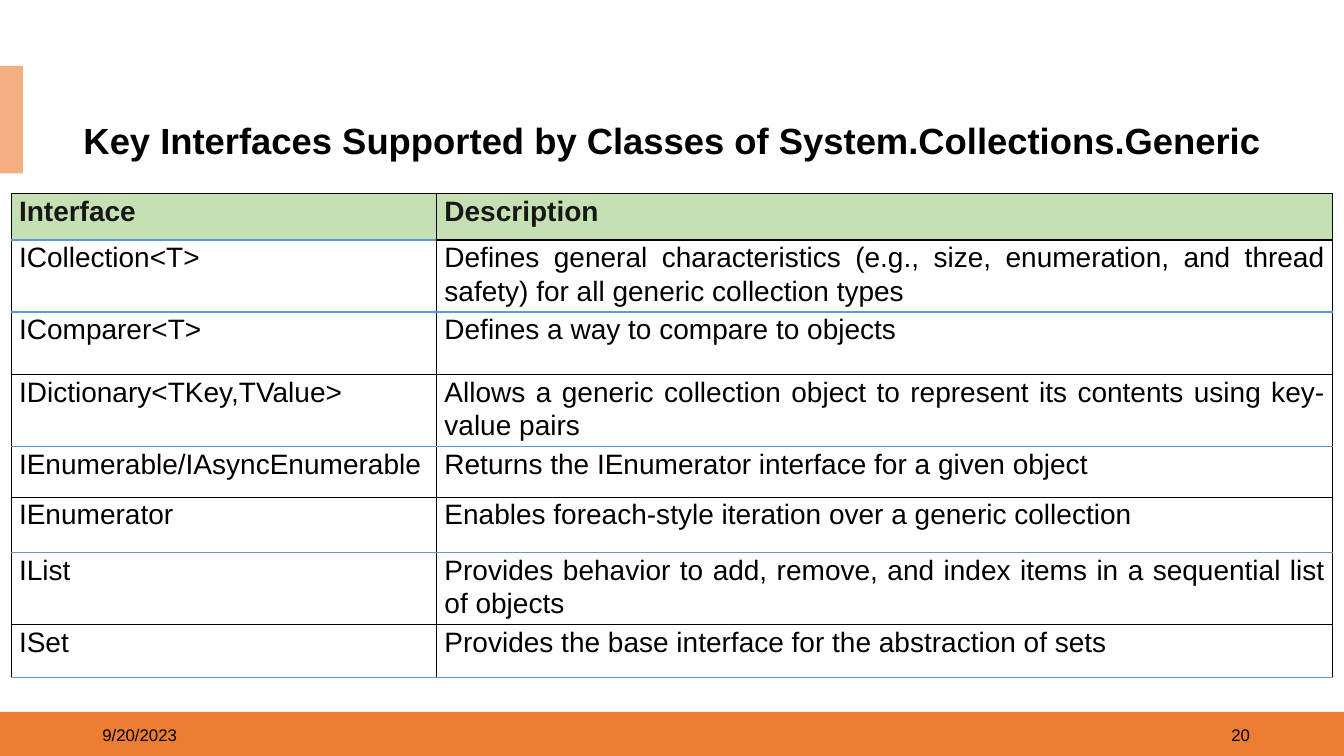
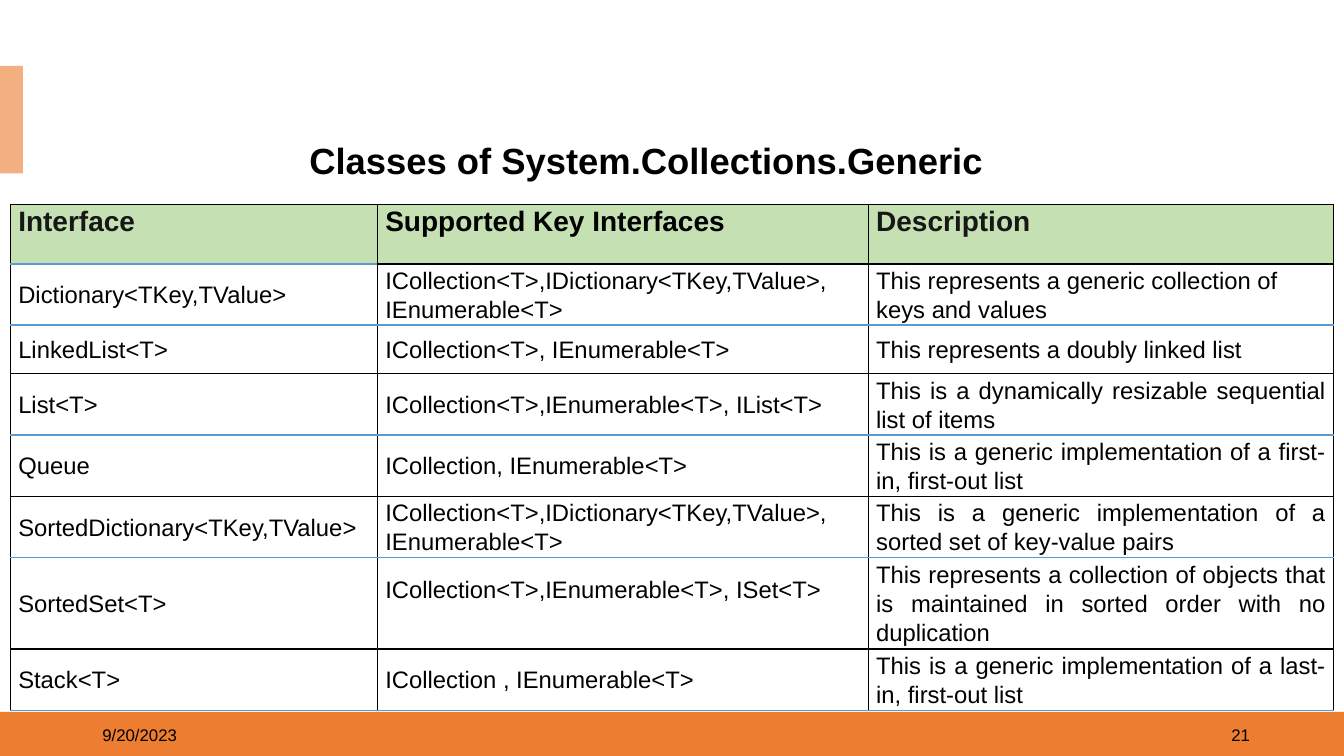
from lxml import etree
from pptx import Presentation
from pptx.dml.color import RGBColor
from pptx.enum.shapes import MSO_SHAPE
from pptx.enum.text import MSO_ANCHOR, MSO_AUTO_SIZE, PP_ALIGN
from pptx.oxml.ns import qn
from pptx.util import Cm, Pt

LEFT, RIGHT, JUSTIFY = PP_ALIGN.LEFT, PP_ALIGN.RIGHT, PP_ALIGN.JUSTIFY
TOP, MIDDLE = MSO_ANCHOR.TOP, MSO_ANCHOR.MIDDLE
RECTANGLE = MSO_SHAPE.RECTANGLE
NO_AUTOFIT = MSO_AUTO_SIZE.NONE

FONT = "Arial"
BLACK, DARK, WHITE = "000000", "171717", "FFFFFF"
ORANGE, PEACH, GREEN, BLUE = "ED7D31", "F4AF80", "C5E0B3", "5B9BD5"
TITLE_ONLY = 5
DATE = "9/20/2023"

# Lengths are centimetres; heights are minimums, and rows grow to fit their text.
# A raised cell is (row, column, bottom inset).
SLIDES = [
    {
        "number": "20",
        "title": "Key Interfaces Supported by Classes of System.Collections.Generic",
        "title_box": (1.85, 2.92, 30.71, 1.4),
        "table_box": (0.29, 4.88, 33.3, 11.99),
        "columns": [10.72, 22.58],
        "heights": [1.17, 1.17, 1.58, 1.4, 1.27, 1.4, 1.09, 1.34],
        "size": 20,
        "anchor": TOP,
        "header": [("Interface", DARK), ("Description", DARK)],
        "rows": [
            ("ICollection<T>", "Defines general characteristics (e.g., size, enumeration, "
             "and thread safety) for all generic collection types"),
            ("IComparer<T>", "Defines a way to compare to objects"),
            ("IDictionary<TKey,TValue>", "Allows a generic collection object to represent "
             "its contents using key-value pairs"),
            ("IEnumerable/IAsyncEnumerable",
             "Returns the IEnumerator interface for a given object"),
            ("IEnumerator", "Enables foreach-style iteration over a generic collection"),
            ("IList", "Provides behavior to add, remove, and index items in a "
             "sequential list of objects"),
            ("ISet", "Provides the base interface for the abstraction of sets"),
        ],
    },
    {
        "number": "21",
        "title": "Classes of System.Collections.Generic",
        "title_box": (7.54, 3.43, 17.7, 1.4),
        "table_box": (0.27, 5.15, 33.33, 12.4),
        "columns": [9.25, 12.37, 11.71],
        "heights": [1.5, 1.17, 1.23, 0, 1.27, 1.4, 1.09, 0.43],
        "size": 17,
        "anchor": MIDDLE,
        "raised": (6, 1, 0.72),
        "header": [("Interface", DARK), ("Supported Key Interfaces", BLACK),
                   ("Description", DARK)],
        "rows": [
            ("Dictionary<TKey,TValue>",
             "ICollection<T>,IDictionary<TKey,TValue>, IEnumerable<T>",
             "This represents a generic collection of\nkeys and values"),
            ("LinkedList<T>", "ICollection<T>, IEnumerable<T>",
             "This represents a doubly linked list"),
            ("List<T>", "ICollection<T>,IEnumerable<T>, IList<T>",
             "This is a dynamically resizable sequential list of items"),
            ("Queue", "ICollection, IEnumerable<T>",
             "This is a generic implementation of a first-in, first-out list"),
            ("SortedDictionary<TKey,TValue>",
             "ICollection<T>,IDictionary<TKey,TValue>, IEnumerable<T>",
             "This is a generic implementation of a sorted set of key-value pairs"),
            ("SortedSet<T>", "ICollection<T>,IEnumerable<T>, ISet<T>",
             "This represents a collection of objects that is maintained in "
             "sorted order with no duplication"),
            ("Stack<T>", "ICollection , IEnumerable<T>",
             "This is a generic implementation of a last-in, first-out list"),
        ],
    },
]


def fill_with(target, color):
    target.fill.solid()
    target.fill.fore_color.rgb = RGBColor.from_string(color)


def write(frame, text, size=12, color=BLACK, bold=False, align=LEFT, spacing=1.0):
    """Put text in a frame, one paragraph per line."""
    frame.text = text
    for para in frame.paragraphs:
        para.alignment = align
        para.line_spacing = spacing
        para.space_before = para.space_after = Pt(0)
        for span in para.runs:
            span.font.name = FONT
            span.font.size = Pt(size)
            span.font.bold = bold
            span.font.color.rgb = RGBColor.from_string(color)


def add_band(page, color, *box):
    band = page.shapes.add_shape(RECTANGLE, *map(Cm, box))
    band.shadow.inherit = False
    fill_with(band, color)
    band.line.fill.background()


def add_footer_text(page, text, left, align):
    box = page.shapes.add_textbox(Cm(left), Cm(18.01), Cm(7.62), Cm(1.02))
    box.text_frame.word_wrap = True
    box.text_frame.vertical_anchor = MIDDLE
    write(box.text_frame, text, align=align)


def add_frame(page, number):
    """Add the bands, date and number that every slide has."""
    add_band(page, ORANGE, 0, 17.94, 33.87, 1.11)
    add_band(page, PEACH, 0, 1.66, 0.58, 2.71)
    add_footer_text(page, DATE, 2.33, LEFT)
    add_footer_text(page, number, 24.13, RIGHT)


def set_title(page, text, box):
    title = page.shapes.title
    title.left, title.top, title.width, title.height = map(Cm, box)
    fill_with(title, WHITE)
    frame = title.text_frame
    frame.word_wrap = True
    frame.auto_size = NO_AUTOFIT
    frame.vertical_anchor = MIDDLE
    write(frame, text, size=26, bold=True, spacing=0.8)


def set_borders(cell, top, bottom):
    properties = cell._tc.get_or_add_tcPr()
    for side, color in (("L", BLACK), ("R", BLACK), ("T", top), ("B", bottom)):
        line = etree.SubElement(properties, qn(f"a:ln{side}"), w=str(Pt(1)))
        solid = etree.SubElement(line, qn("a:solidFill"))
        etree.SubElement(solid, qn("a:srgbClr"), val=color)


def line_below(row, column):
    """Colour under a row (-1 is above the header): blue and black alternate."""
    if row == 0:
        return BLUE if column == 0 else BLACK
    return BLUE if row > 0 and row % 2 else BLACK


def add_grid(page, content):
    columns, heights = content["columns"], content["heights"]
    box = [Cm(length) for length in content["table_box"]]
    holder = page.shapes.add_table(len(heights), len(columns), *box)
    table = holder.table
    table.first_row = table.horz_banding = False
    for column, width in zip(table.columns, columns):
        column.width = Cm(width)
    for row, height in zip(table.rows, heights):
        row.height = Cm(height)
    holder.height = box[-1]

    def format_cell(row, column, fill, anchor, text, **style):
        cell = table.cell(row, column)
        cell.margin_left = cell.margin_right = Cm(0.19)
        cell.margin_top = cell.margin_bottom = 0
        cell.vertical_anchor = anchor
        set_borders(cell, line_below(row - 1, column), line_below(row, column))
        fill_with(cell, fill)
        write(cell.text_frame, text, spacing=1.07, **style)

    for column, (text, color) in enumerate(content["header"]):
        format_cell(0, column, GREEN, TOP, text, size=20, color=color, bold=True)
    for row, texts in enumerate(content["rows"], 1):
        for column, text in enumerate(texts):
            format_cell(row, column, WHITE, content["anchor"], text,
                        size=content["size"], align=JUSTIFY if column else LEFT)
    if "raised" in content:
        row, column, inset = content["raised"]
        table.cell(row, column).margin_bottom = Cm(inset)


def main():
    deck = Presentation()
    deck.slide_width, deck.slide_height = Cm(33.87), Cm(19.05)
    for content in SLIDES:
        page = deck.slides.add_slide(deck.slide_layouts[TITLE_ONLY])
        add_frame(page, content["number"])
        set_title(page, content["title"], content["title_box"])
        add_grid(page, content)
    deck.save("out.pptx")


if __name__ == "__main__":
    main()
